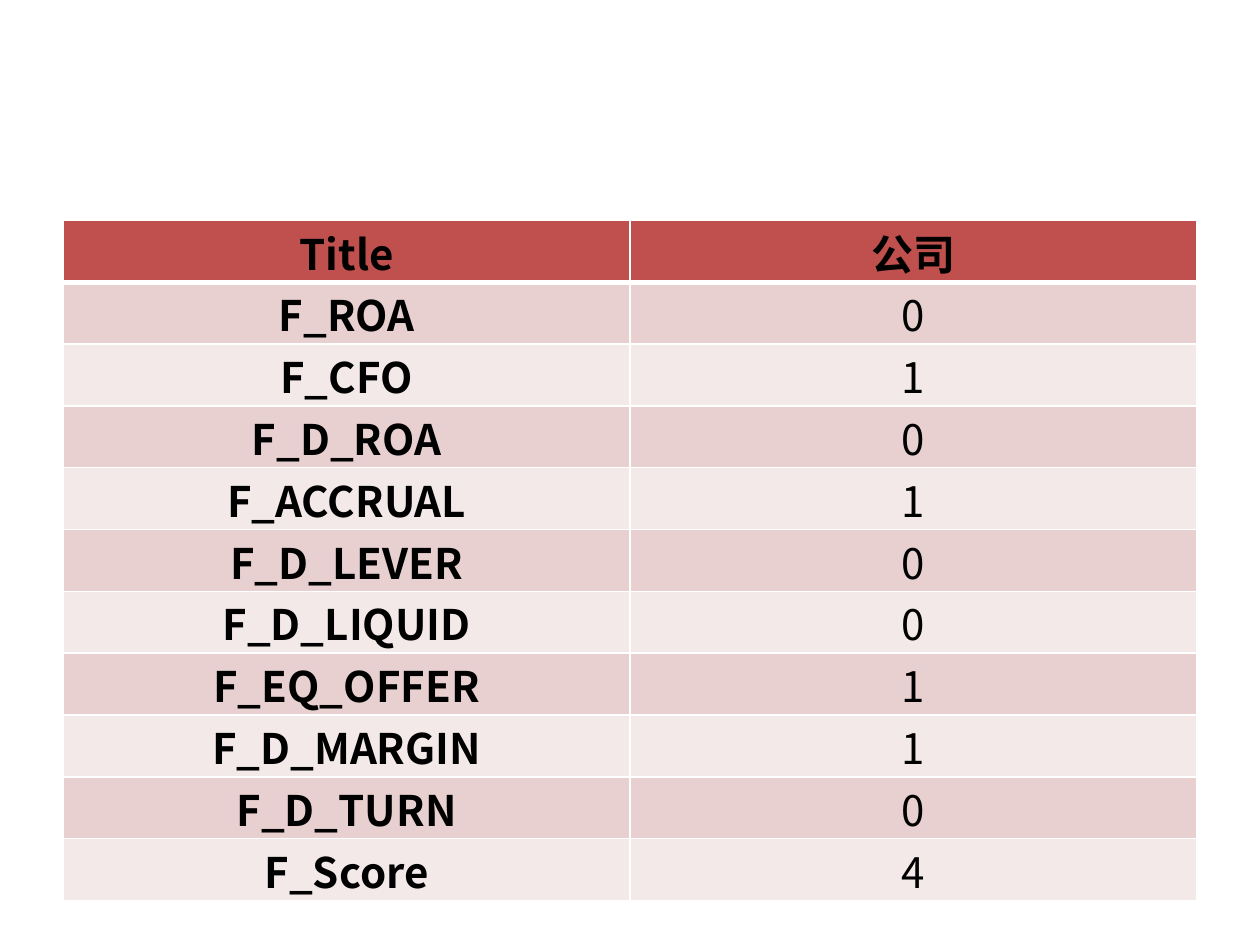
from lxml.etree import SubElement
from pptx import Presentation
from pptx.dml.color import RGBColor
from pptx.enum.text import MSO_ANCHOR as Anchor, PP_ALIGN as Align
from pptx.oxml.ns import qn
from pptx.util import Pt

FONT = "Noto Sans CJK TC"
HEADER_FILL, BAND_FILLS = "C0504D", ("F4E9E9", "E8D0D0")
WHITE, BLACK = "FFFFFF", "000000"
SCORES = [
    ("Title", "公司"),
    ("F_ROA", "0"),
    ("F_CFO", "1"),
    ("F_D_ROA", "0"),
    ("F_ACCRUAL", "1"),
    ("F_D_LEVER", "0"),
    ("F_D_LIQUID", "0"),
    ("F_EQ_OFFER", "1"),
    ("F_D_MARGIN", "1"),
    ("F_D_TURN", "0"),
    ("F_Score", "4"),
]


def color(value):
    """Turn a hex string into a colour."""
    return RGBColor.from_string(value)


def add_borders(cell, top, bottom):
    """Draw white borders, with the given top and bottom widths in points."""
    properties = cell._tc.get_or_add_tcPr()
    for side, width in (("L", 1), ("R", 1), ("T", top), ("B", bottom)):
        line = SubElement(properties, qn(f"a:ln{side}"), w=str(Pt(width)))
        fill = SubElement(line, qn("a:solidFill"))
        SubElement(fill, qn("a:srgbClr"), val=WHITE)


def format_text(cell, text, bold):
    """Write centred text into a cell."""
    cell.vertical_anchor = Anchor.MIDDLE
    cell.margin_left = cell.margin_top = cell.margin_right = Pt(0.5)
    cell.margin_bottom = Pt(0)
    cell.text = text
    para = cell.text_frame.paragraphs[0]
    para.alignment = Align.CENTER
    font = para.runs[0].font
    font.name, font.size, font.bold = FONT, Pt(24), bold
    font.color.rgb = color(BLACK)
    SubElement(font._element, qn("a:ea"), typeface=FONT)


def add_score_table(page):
    """Add the table of scores with its header and banded rows."""
    frame = page.shapes.add_table(
        len(SCORES), 2, Pt(36), Pt(126), Pt(648), Pt(33.7 * len(SCORES))
    )
    for row, texts in enumerate(SCORES):
        for column, text in enumerate(texts):
            cell = frame.table.cell(row, column)
            add_borders(cell, 3 if row == 1 else 1, 3 if row == 0 else 1)
            cell.fill.solid()
            cell.fill.fore_color.rgb = color(BAND_FILLS[row % 2] if row else HEADER_FILL)
            format_text(cell, text, row == 0 or column == 0)


def main():
    """Build and save the deck."""
    deck = Presentation()
    deck.slide_width, deck.slide_height = Pt(720), Pt(540)
    page = deck.slides.add_slide(deck.slide_layouts[6])
    add_score_table(page)
    deck.save("out.pptx")


if __name__ == "__main__":
    main()
